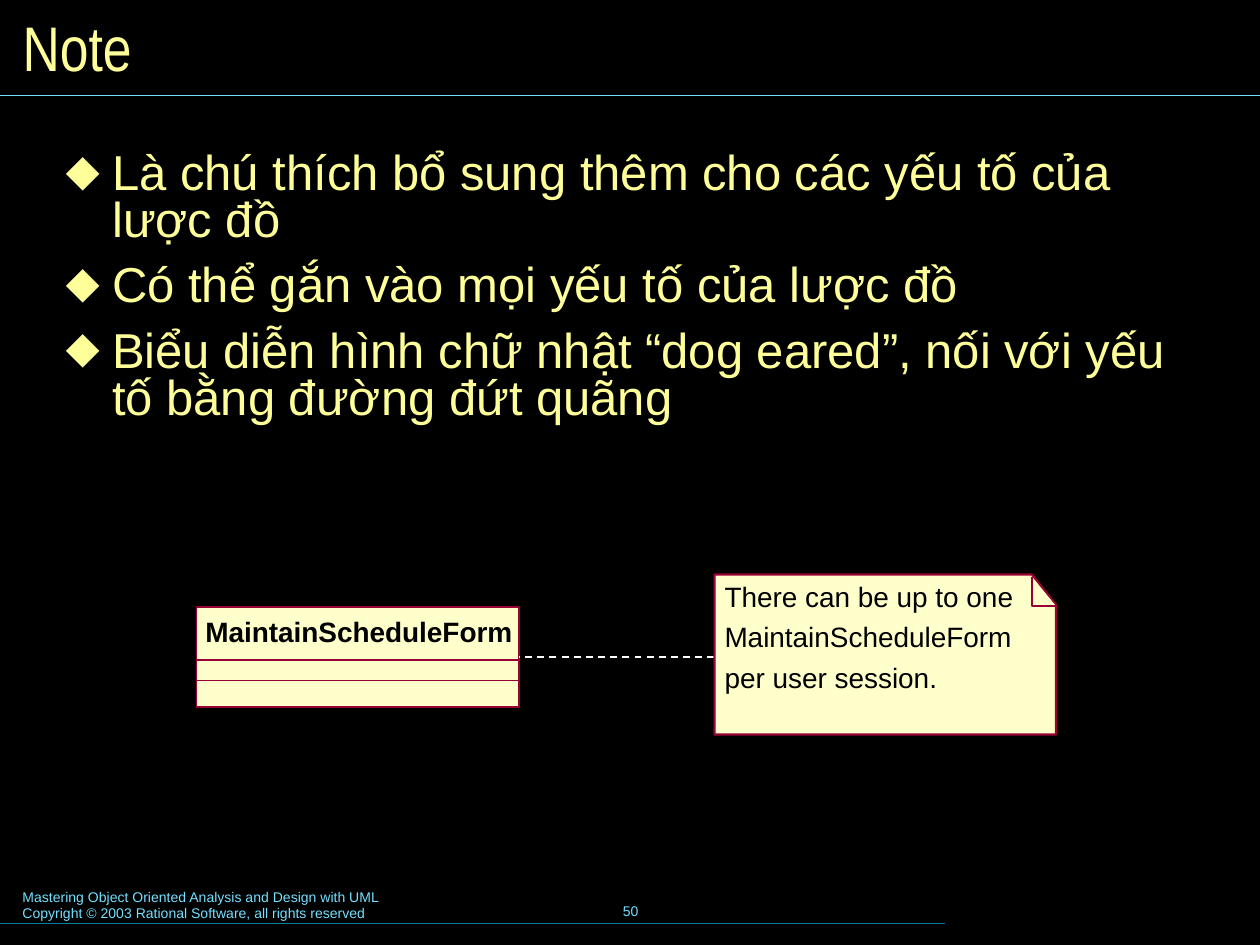
from dataclasses import dataclass

from lxml.etree import SubElement
from pptx import Presentation
from pptx.dml.color import RGBColor
from pptx.enum.dml import MSO_LINE_DASH_STYLE as Dash
from pptx.enum.shapes import MSO_CONNECTOR_TYPE as Connector
from pptx.enum.shapes import MSO_SHAPE as Preset
from pptx.enum.text import MSO_ANCHOR as Anchor
from pptx.enum.text import MSO_AUTO_SIZE as AutoSize
from pptx.enum.text import PP_ALIGN as Align
from pptx.oxml.ns import qn
from pptx.util import Inches, Pt

COLORS = {
    "background": "000000",
    "text": "FFFF99",
    "footer": "73E1FF",
    "footer_rule": "007E9F",
    "link": "FFFFFF",
    "fill": "FFFFCC",
    "outline": "990033",
    "label": "000000",
}


@dataclass
class Area:
    left: float
    top: float
    width: float
    height: float

    def lengths(self) -> list:
        return [Inches(value) for value in (self.left, self.top, self.width, self.height)]


@dataclass
class Rule:
    y: float
    end: float
    color: str


def color_of(name: str) -> RGBColor:
    return RGBColor.from_string(COLORS[name])


def add_bullet(para, color: str, indent: float) -> None:
    properties = para._p.get_or_add_pPr()
    properties.set("marL", str(Inches(indent)))
    properties.set("indent", str(-Inches(indent)))
    bullet_color = SubElement(properties, qn("a:buClr"))
    SubElement(bullet_color, qn("a:srgbClr"), val=COLORS[color])
    SubElement(properties, qn("a:buFont"), typeface="Arial")
    SubElement(properties, qn("a:buChar"), char="⬥")


def write_text(box, lines: list[str], *, size: float, color: str, font: str = "Arial",
               bold: bool = False, align=Align.LEFT, anchor=Anchor.TOP,
               inset: tuple[float, float] = (0.1, 0.05), wrap: bool = True,
               bullet_indent: float = 0, line_spacing: float = 1.0,
               space_before: float = 0) -> None:
    frame = box.text_frame
    frame.auto_size = AutoSize.NONE
    frame.word_wrap = wrap
    frame.vertical_anchor = anchor
    frame.margin_left = frame.margin_right = Inches(inset[0])
    frame.margin_top = frame.margin_bottom = Inches(inset[1])
    for index, line in enumerate(lines):
        para = frame.add_paragraph() if index else frame.paragraphs[0]
        para.alignment = align
        para.line_spacing = line_spacing
        para.space_before = Pt(space_before if index else 0)
        if bullet_indent:
            add_bullet(para, color, bullet_indent)
        span = para.add_run()
        span.text = line
        span.font.name = font
        span.font.size = Pt(size)
        span.font.bold = bold
        span.font.color.rgb = color_of(color)


def add_text(page, area: Area, lines: list[str], **style) -> None:
    write_text(page.shapes.add_textbox(*area.lengths()), lines, **style)


def add_line(page, start: tuple, end: tuple, color: str, width: float):
    line = page.shapes.add_connector(Connector.STRAIGHT, *start, *end)
    line.line.color.rgb = color_of(color)
    line.line.width = Pt(width)
    SubElement(line._element.spPr, qn("a:effectLst"))
    return line


def paint(shape, width: float) -> None:
    shape.shadow.inherit = False
    shape.fill.solid()
    shape.fill.fore_color.rgb = color_of("fill")
    shape.line.color.rgb = color_of("outline")
    shape.line.width = Pt(width)


def add_outline(page, points: list[tuple[float, float]], close: bool) -> None:
    corners = [(Inches(x), Inches(y)) for x, y in points]
    builder = page.shapes.build_freeform(*corners[0])
    builder.add_line_segments(corners[1:], close=close)
    paint(builder.convert_to_shape(), 1.25)


def add_class(page, left: float, width: float, tops: list[float], bottom: float):
    compartments = []
    for top in tops:
        area = Area(left, top, width, bottom - top)
        compartment = page.shapes.add_shape(Preset.RECTANGLE, *area.lengths())
        paint(compartment, 1)
        compartments.append(compartment)
    return compartments[0]


def add_note(page, area: Area, fold_x: float, fold_y: float) -> None:
    right, bottom = area.left + area.width, area.top + area.height
    add_outline(page, [(area.left, area.top), (fold_x, area.top), (right, fold_y),
                       (right, bottom), (area.left, bottom)], True)
    add_outline(page, [(fold_x, area.top + 0.02), (fold_x, fold_y + 0.01),
                       (right, fold_y + 0.01)], False)


def main() -> None:
    deck = Presentation()
    deck.slide_width, deck.slide_height = Inches(10), Inches(7.5)
    page = deck.slides.add_slide(deck.slide_layouts[5])
    page.background.fill.solid()
    page.background.fill.fore_color.rgb = color_of("background")

    title = page.shapes.title
    title.left, title.top, title.width, title.height = Area(0.08, 0.08, 9.84, 0.58).lengths()
    write_text(title, ["Note"], size=36, color="text", font="Arial Narrow", anchor=Anchor.MIDDLE)

    add_text(page, Area(0.08, 7, 5.1, 0.37),
             ["Mastering Object Oriented Analysis and Design with UML",
              "Copyright © 2003 Rational Software, all rights reserved"],
             size=8, color="footer")
    add_text(page, Area(3.42, 6.98, 3.17, 0.5), ["50"], size=8, color="footer",
             align=Align.CENTER, anchor=Anchor.MIDDLE, wrap=False)
    for rule in (Rule(7.33, 7.5, "footer_rule"), Rule(0.76, 10, "footer")):
        y = Inches(rule.y)
        add_line(page, (0, y), (Inches(rule.end), y), rule.color, 0.75)

    add_text(page, Area(0.4, 1.15, 9.09, 3.49),
             ["Là chú thích bổ sung thêm cho các yếu tố của lược đồ",
              "Có thể gắn vào mọi yếu tố của lược đồ",
              "Biểu diễn hình chữ nhật “dog eared”, nối với yếu tố bằng đường đứt quãng"],
             size=28, color="text", inset=(0.12, 0.06), bullet_indent=0.37,
             line_spacing=0.8, space_before=10.5)

    label = {"size": 16, "color": "label", "inset": (0, 0), "wrap": False}
    class_box = add_class(page, 1.56, 2.56, [4.82, 5.24, 5.4], 5.61)
    add_text(page, Area(1.63, 4.88, 2.44, 0.27), ["MaintainScheduleForm"], bold=True, **label)

    note = Area(5.67, 4.56, 2.71, 1.27)
    middle = class_box.top + class_box.height // 2
    link = add_line(page, (Inches(note.left), middle),
                    (class_box.left + class_box.width, middle), "link", 1)
    link.line.dash_style = Dash.DASH
    link.end_connect(class_box, 3)

    add_note(page, note, 8.19, 4.8)
    note_lines = ["There can be up to one", "MaintainScheduleForm", "per user session."]
    for index, line in enumerate(note_lines):
        add_text(page, Area(5.75, 4.6 + 0.32 * index, 2.35, 0.27), [line], **label)

    deck.save("out.pptx")


if __name__ == "__main__":
    main()
